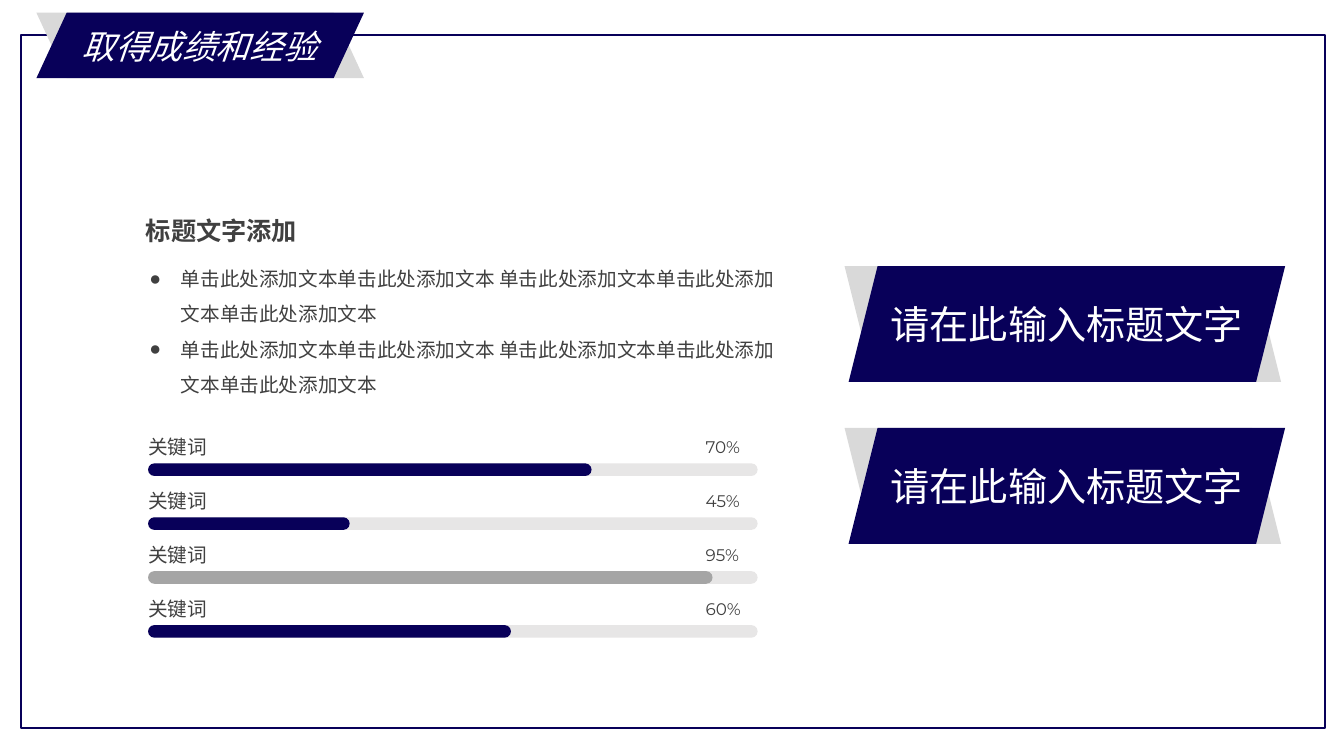
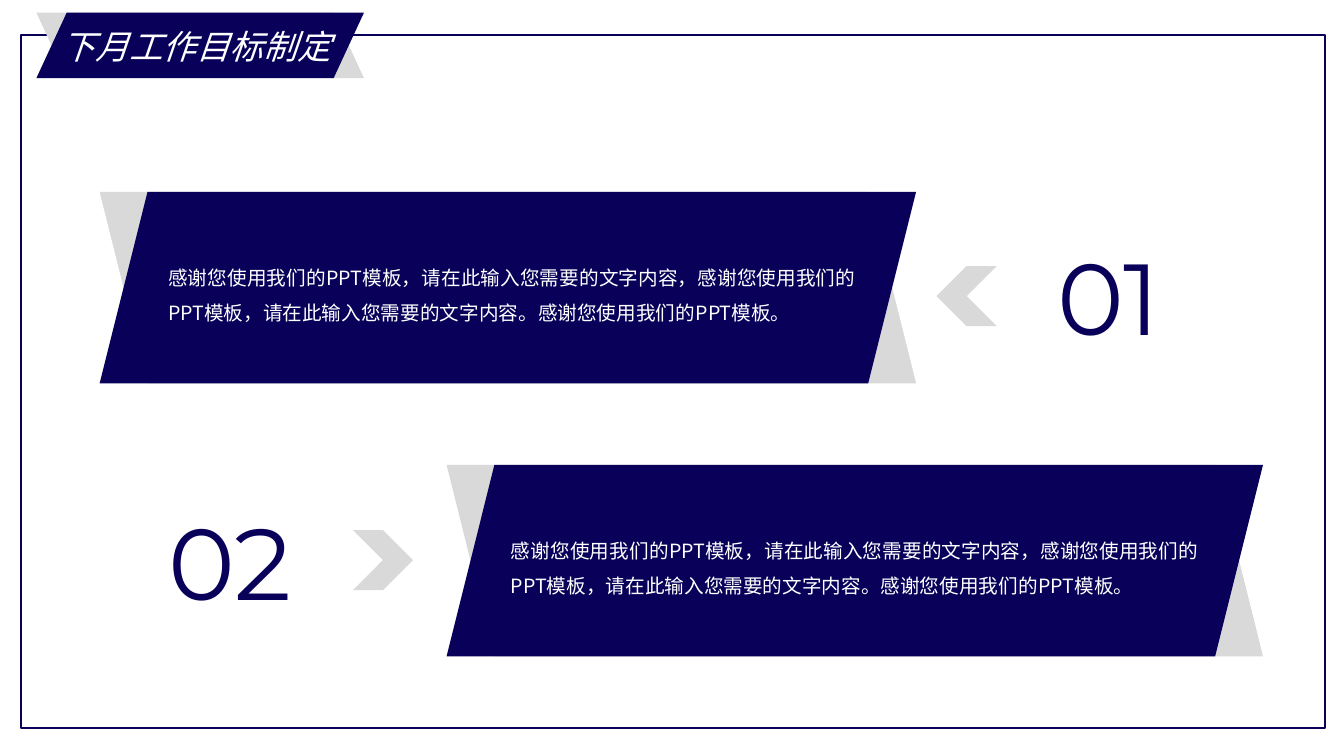
from lxml import etree
from pptx import Presentation
from pptx.dml.color import RGBColor
from pptx.enum import shapes, text
from pptx.oxml import ns
from pptx.util import Pt

NAVY, SILVER, WHITE, INK = "080059", "D9D9D9", "FFFFFF", "404040"
TRACK, GRAY = "E7E6E6", "A5A5A5"
CJK, LATIN, NUMERAL = "Noto Sans CJK SC", "Arial", "Montserrat"

BULLET = "单击此处添加文本单击此处添加文本 单击此处添加文本单击此处添加文本单击此处添加文本"
BANNER = "请在此输入标题文字"
GOAL = ("感谢您使用我们的PPT模板，请在此输入您需要的文字内容，"
        "感谢您使用我们的PPT模板，请在此输入您需要的文字内容。感谢您使用我们的PPT模板。")
BARS = [
    ("70%", 316.8, NAVY),
    ("45%", 144, NAVY),
    ("95%", 403.2, GRAY),
    ("60%", 259.2, NAVY),
]


def color(value):
    return RGBColor.from_string(value)


def add_run(paragraph, content, size, font, shade, bold=False, italic=False):
    run = paragraph.add_run()
    run.text = content
    run.font.size = Pt(size)
    run.font.name = font
    run.font.bold = bold
    run.font.italic = italic
    run.font.color.rgb = color(shade)
    east_asian = etree.SubElement(run.font._element, ns.qn("a:ea"))
    east_asian.set("typeface", CJK)


def place(shape, left, top, width, height):
    shape.left, shape.top = Pt(left), Pt(top)
    shape.width, shape.height = Pt(width), Pt(height)


def add_shape(slide, kind, left, top, width, height, fill=None, line=None,
              adjustment=None, flipped=False):
    shape = slide.shapes.add_shape(kind, Pt(left), Pt(top), Pt(width), Pt(height))
    shape.shadow.inherit = False
    if fill:
        shape.fill.solid()
        shape.fill.fore_color.rgb = color(fill)
    else:
        shape.fill.background()
    if line:
        shape.line.color.rgb = color(line)
        shape.line.width = Pt(1.75)
    else:
        shape.line.fill.background()
    if adjustment is not None:
        shape.adjustments[0] = adjustment
    if flipped:
        shape.element.spPr.xfrm.set("flipH", "1")
    return shape


def add_ribbon(slide, left, top, width, height, adjustment=0.25, back_shift=0):
    kind = shapes.MSO_SHAPE.PARALLELOGRAM
    add_shape(slide, kind, left - back_shift, top, width, height, SILVER,
              adjustment=adjustment, flipped=True)
    return add_shape(slide, kind, left, top, width, height, NAVY,
                     adjustment=adjustment)


def add_text(slide, content, left, top, width, height, size, font, shade,
             bold=False, spacing=1.0, inset=True, align=text.PP_ALIGN.LEFT):
    box = slide.shapes.add_textbox(Pt(left), Pt(top), Pt(width), Pt(height))
    frame = box.text_frame
    frame.word_wrap = True
    if not inset:
        frame.margin_left = frame.margin_right = 0
        frame.margin_top = frame.margin_bottom = 0
    paragraph = frame.paragraphs[0]
    paragraph.alignment = align
    paragraph.line_spacing = spacing
    add_run(paragraph, content, size, font, shade, bold)


def add_slide(presentation, layout_index, title, title_left):
    slide = presentation.slides.add_slide(presentation.slide_layouts[layout_index])
    place(slide.shapes.title, title_left, 15, 216, 36)
    frame = slide.shapes.title.text_frame
    frame.word_wrap = False
    frame.auto_size = text.MSO_AUTO_SIZE.NONE
    frame.vertical_anchor = text.MSO_ANCHOR.MIDDLE
    paragraph = frame.paragraphs[0]
    paragraph.alignment = text.PP_ALIGN.LEFT
    add_run(paragraph, title, 24, LATIN, WHITE, italic=True)
    return slide


def decorate_master(presentation, slide):
    existing = len(slide.shapes)
    add_shape(slide, shapes.MSO_SHAPE.RECTANGLE, 15, 25, 931.5, 495, line=NAVY)
    add_ribbon(slide, 26, 9, 234, 46.8, 0.463)
    master_tree = presentation.slide_master.shapes.element
    for number, shape in enumerate(list(slide.shapes)[existing:], 101):
        shape.element.nvSpPr.cNvPr.set("id", str(number))
        master_tree.append(shape.element)


def fill_bullets(placeholder, items):
    place(placeholder, 99.4, 178.6, 472.3, 103.7)
    frame = placeholder.text_frame
    frame.word_wrap = True
    frame.auto_size = text.MSO_AUTO_SIZE.NONE
    for index, item in enumerate(items):
        paragraph = frame.add_paragraph() if index else frame.paragraphs[0]
        properties = paragraph._p.get_or_add_pPr()
        properties.set("marL", str(Pt(22.5)))
        properties.set("indent", str(-Pt(22.5)))
        etree.SubElement(properties, ns.qn("a:buFont")).set("typeface", LATIN)
        etree.SubElement(properties, ns.qn("a:buChar")).set("char", "●")
        paragraph.space_before = Pt(0)
        paragraph.line_spacing = 1.5
        add_run(paragraph, item, 14, CJK, INK)


def add_bar(slide, top, label, width, fill):
    kind = shapes.MSO_SHAPE.ROUNDED_RECTANGLE
    left = 105.8
    add_shape(slide, kind, left, top, 435.4, 9, TRACK, adjustment=0.5)
    add_shape(slide, kind, left, top, width, 9, fill, adjustment=0.5)
    add_text(slide, "关键词", left, top - 20, 55.4, 25, 14, CJK, INK, inset=False)
    add_text(slide, label, 504, top - 18.8, 40, 21, 12, NUMERAL, INK, inset=False)


def add_banner(slide, top):
    ribbon = add_ribbon(slide, 606.2, top, 311.8, 82.8, back_shift=2.9)
    frame = ribbon.text_frame
    frame.word_wrap = False
    frame.vertical_anchor = text.MSO_ANCHOR.MIDDLE
    paragraph = frame.paragraphs[0]
    paragraph.alignment = text.PP_ALIGN.CENTER
    add_run(paragraph, BANNER, 28, LATIN, WHITE)


def add_goal(slide, number, top, ribbon_left, text_left, number_left, number_top,
             arrow_left, arrow_top, arrow_flipped):
    add_ribbon(slide, ribbon_left, top, 583.2, 136.8)
    add_text(slide, GOAL, text_left, top + 41, 505.4, 54.7, 14, CJK, WHITE,
             spacing=1.5, align=text.PP_ALIGN.JUSTIFY)
    add_text(slide, number, number_left, number_top, 115, 94.3, 72, NUMERAL, NAVY)
    add_shape(slide, shapes.MSO_SHAPE.CHEVRON, arrow_left, arrow_top, 43, 43,
              SILVER, flipped=arrow_flipped)


def build_results(presentation):
    slide = add_slide(presentation, 1, "取得成绩和经验", 51)
    decorate_master(presentation, slide)
    add_text(slide, "标题文字添加", 97.2, 146.2, 197.3, 29.5, 18, CJK, INK,
             bold=True, spacing=1.2)
    fill_bullets(slide.placeholders[1], [BULLET] * 2)
    for index, (label, width, fill) in enumerate(BARS):
        add_bar(slide, 331 + index * 38.5, label, width, fill)
    for top in (190, 305.6):
        add_banner(slide, top)


def build_goals(presentation):
    slide = add_slide(presentation, 5, "下月工作目标制定", 37)
    add_goal(slide, "01", 137, 71.2, 113, 748, 164.2, 669, 190, True)
    add_goal(slide, "02", 332, 319, 357.8, 113, 353.5, 252, 378.6, False)


def main():
    presentation = Presentation()
    presentation.slide_width, presentation.slide_height = Pt(960), Pt(540)
    build_results(presentation)
    build_goals(presentation)
    presentation.save("out.pptx")


if __name__ == "__main__":
    main()
